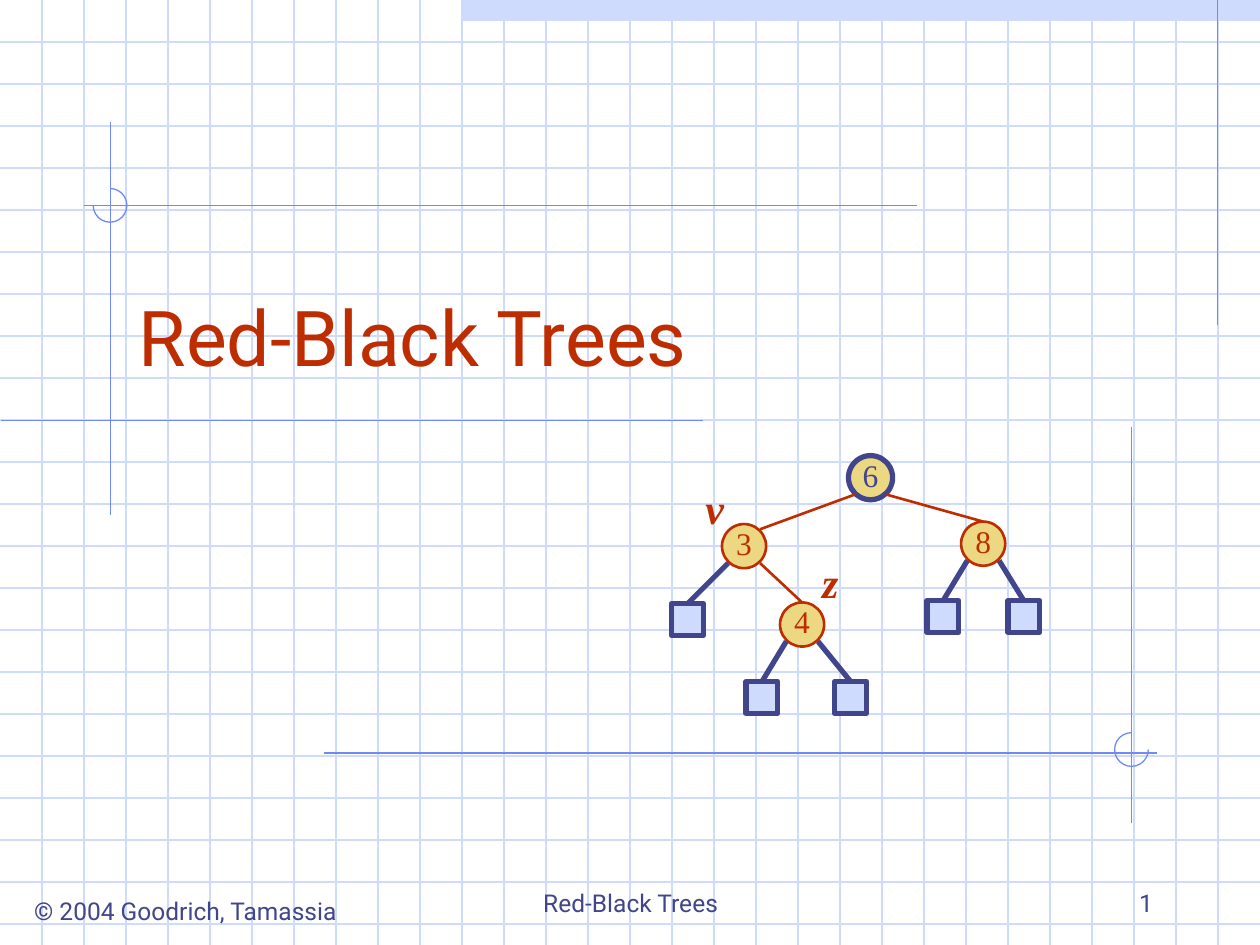
import lxml.etree
import pptx
import pptx.dml.color
import pptx.enum.shapes
import pptx.enum.text
import pptx.oxml.ns
import pptx.util

Cm = pptx.util.Cm
Pt = pptx.util.Pt
SHAPE = pptx.enum.shapes.MSO_SHAPE
ALIGN = pptx.enum.text.PP_ALIGN
ANCHOR = pptx.enum.text.MSO_ANCHOR

WIDTH, HEIGHT = 25.4, 19.05
PITCH = WIDTH / 30
COLORS = {
    "grid": "CFDBFD",
    "accent": "6F89F7",
    "navy": "40458C",
    "red": "BE2D00",
    "gold": "ECD882",
}


class TreeSlide:
    sans = "Roboto"
    serif = "Times New Roman"
    node_size = 0.89
    leaf_size = 0.64
    port_dx = 0.32
    port_dy = 0.34

    def __init__(self, slide):
        self.s = slide

    def color(self, name):
        return pptx.dml.color.RGBColor.from_string(COLORS[name])

    def add_text(self, tf, text, size, color, font, align, anchor, wrap=True, bold=False):
        tf.auto_size = pptx.enum.text.MSO_AUTO_SIZE.NONE
        tf.word_wrap = wrap
        tf.vertical_anchor = anchor
        p = tf.paragraphs[0]
        p.alignment = align
        r = p.add_run()
        r.text = text
        r.font.size = Pt(size)
        r.font.name = font
        r.font.bold = r.font.italic = bold
        r.font.color.rgb = self.color(color)

    def title(self, text, x, y, w, h):
        sp = self.s.shapes.title
        sp.left, sp.top, sp.width, sp.height = Cm(x), Cm(y), Cm(w), Cm(h)
        sp._element.getparent().append(sp._element)
        self.add_text(sp.text_frame, text, 44, "red", self.sans, ALIGN.LEFT, ANCHOR.BOTTOM)

    def text(self, text, x, y, w, h, align=ALIGN.CENTER, anchor=ANCHOR.BOTTOM, wrap=True):
        sp = self.s.shapes.add_textbox(Cm(x), Cm(y), Cm(w), Cm(h))
        self.add_text(sp.text_frame, text, 14, "navy", self.sans, align, anchor, wrap)

    def label(self, text, x, y):
        sp = self.s.shapes.add_textbox(Cm(x), Cm(y), Cm(0.86), Cm(1.27))
        self.add_text(sp.text_frame, text, 24, "red", self.serif, ALIGN.CENTER, ANCHOR.TOP, bold=True)

    def shape(self, kind, x, y, w, h, fill=None, line=None, weight=0.75):
        sp = self.s.shapes.add_shape(kind, Cm(x), Cm(y), Cm(w), Cm(h))
        sp.shadow.inherit = False
        if fill:
            sp.fill.solid()
            sp.fill.fore_color.rgb = self.color(fill)
        else:
            sp.fill.background()
        if line:
            sp.line.color.rgb = self.color(line)
            sp.line.width = Pt(weight)
        else:
            sp.line.fill.background()
        return sp

    def arc(self, cx, cy, start, end):
        radius = 0.34
        sp = self.shape(SHAPE.ARC, cx - radius, cy - radius, 2 * radius, 2 * radius, line="accent")
        sp.adjustments[0] = start * 0.6
        sp.adjustments[1] = end * 0.6

    def line(self, x1, y1, x2, y2, color, weight=0.75):
        c = self.s.shapes.add_connector(
            pptx.enum.shapes.MSO_CONNECTOR.STRAIGHT, Cm(x1), Cm(y1), Cm(x2), Cm(y2))
        c.line.color.rgb = self.color(color)
        c.line.width = Pt(weight)
        lxml.etree.SubElement(c._element.spPr, pptx.oxml.ns.qn("a:effectLst"))
        return c

    def node(self, key, cx, cy, color, weight):
        d = self.node_size
        sp = self.shape(SHAPE.OVAL, cx - d / 2, cy - d / 2, d, d, "gold", color, weight)
        tf = sp.text_frame
        tf.margin_left = tf.margin_right = tf.margin_top = 0
        tf.margin_bottom = Cm(0.13)
        self.add_text(tf, key, 18, color, self.serif, ALIGN.CENTER, ANCHOR.MIDDLE, wrap=False)
        return sp

    def leaf(self, cx, cy):
        d = self.leaf_size
        return self.shape(SHAPE.RECTANGLE, cx - d / 2, cy - d / 2, d, d, "grid", "navy", 3)

    def edge(self, parent, child, color, weight, target=None):
        px, py = parent
        cx, cy = child
        side = 1 if cx > px else -1
        start = px + side * self.port_dx, py + self.port_dy
        end = cx - side * self.port_dx, cy - self.port_dy
        c = self.line(*start, *end, color, weight)
        if target is not None:
            c.end_connect(target, 0)


def draw_background(slide):
    slide.shape(SHAPE.RECTANGLE, 11 * PITCH, 0, 19 * PITCH, PITCH / 2, "grid")
    for i in range(1, 23):
        slide.line(0, i * PITCH, WIDTH, i * PITCH, "grid")
    for i in range(1, 30):
        slide.line(i * PITCH, 0, i * PITCH, HEIGHT, "grid")
    for ends in [
        (24.55, 0, 24.55, 6.55),
        (2.23, 2.46, 2.23, 10.39),
        (0.03, 8.48, 14.17, 8.48),
        (1.7, 4.14, 18.49, 4.14),
        (6.53, 15.18, 23.32, 15.18),
        (22.81, 8.61, 22.81, 16.59),
    ]:
        slide.line(*ends, "accent")
    slide.arc(2.22, 4.14, 270, 180)
    slide.arc(22.81, 15.11, 0, 270)


def draw_tree(slide):
    centers = {"6": (17.55, 9.63), "3": (15, 11.01), "8": (19.82, 10.96), "4": (16.17, 12.59)}
    leaves = [
        ("3", (13.86, 12.49)),
        ("8", (19.01, 12.43)),
        ("8", (20.64, 12.43)),
        ("4", (15.36, 14.06)),
        ("4", (17.15, 14.06)),
    ]
    nodes = {}
    for key, center in centers.items():
        color, weight = ("navy", 3) if key == "6" else ("red", 1.5)
        nodes[key] = slide.node(key, *center, color, weight)
    for parent, center in leaves:
        slide.edge(centers[parent], center, "navy", 3, slide.leaf(*center))
    for parent, child, target in [("6", "3", None), ("6", "8", nodes["8"]), ("3", "4", nodes["4"])]:
        slide.edge(centers[parent], centers[child], "red", 1.5, target)
    slide.label("v", 13.97, 9.6)
    slide.label("z", 16.31, 11.1)


def main():
    prs = pptx.Presentation()
    prs.slide_width, prs.slide_height = Cm(WIDTH), Cm(HEIGHT)
    slide = TreeSlide(prs.slides.add_slide(prs.slide_layouts[5]))
    draw_background(slide)
    slide.text("© 2004 Goodrich, Tamassia", 0.3, 17.93, 6.88, 0.86, anchor=ANCHOR.TOP, wrap=False)
    slide.text("Red-Black Trees", 8.69, 17.35, 8.05, 1.27)
    slide.text("1", 18.21, 17.35, 5.28, 1.27, ALIGN.RIGHT)
    slide.title("Red-Black Trees", 2.54, 4.65, 21.59, 3.18)
    draw_tree(slide)
    prs.save("out.pptx")


if __name__ == "__main__":
    main()
